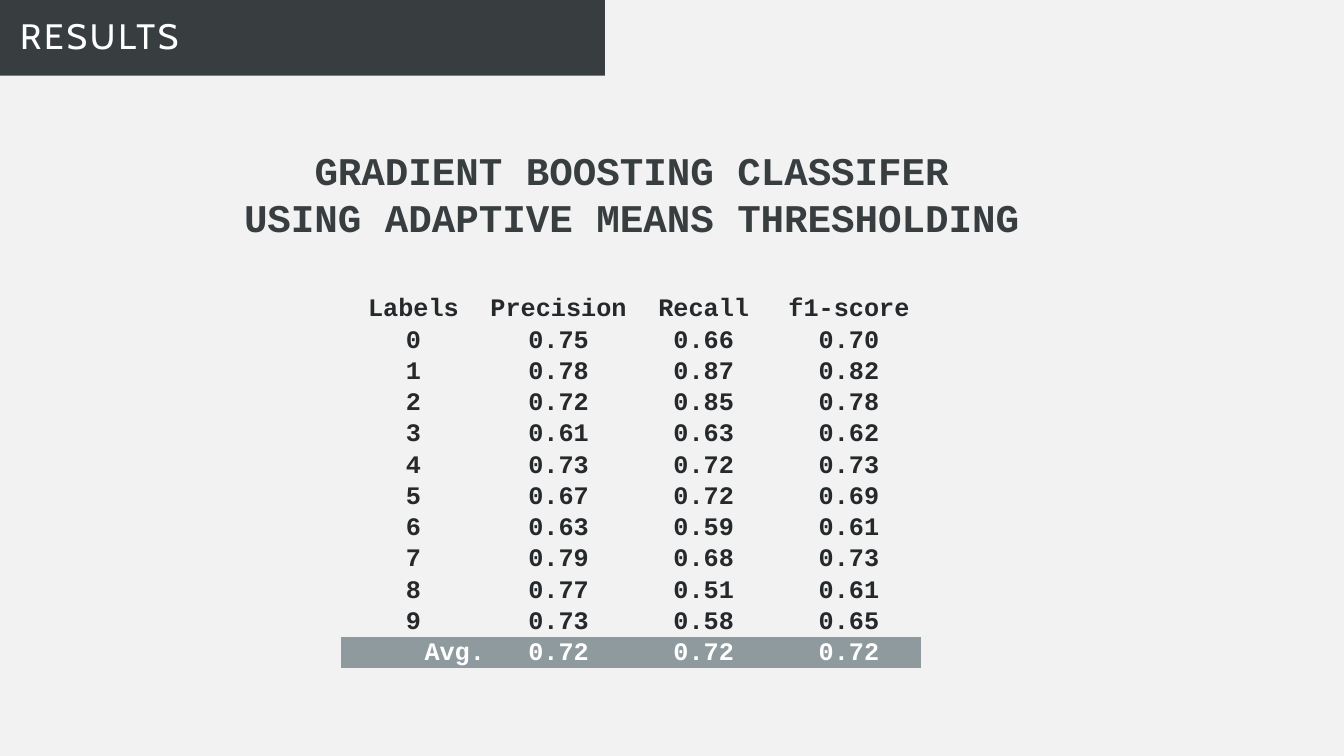
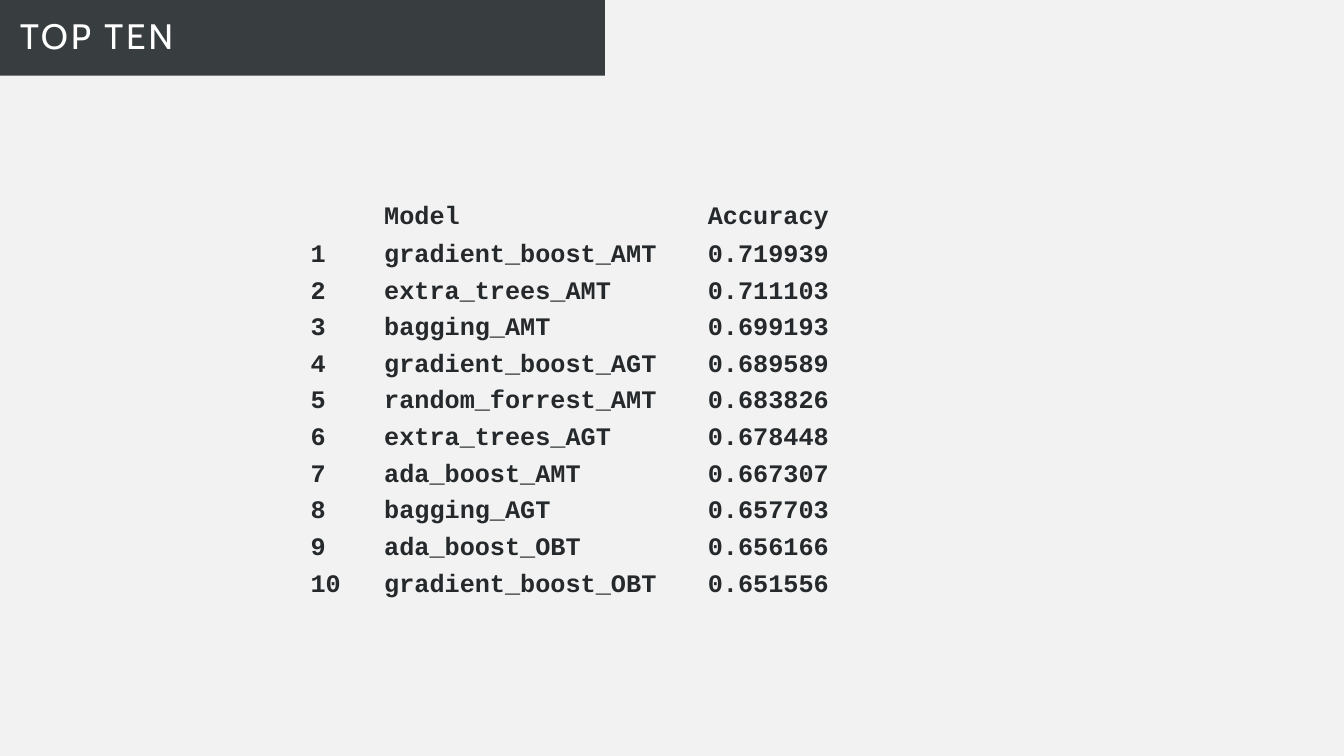
import pptx
import pptx.dml.color
import pptx.enum.text
import pptx.util
from dataclasses import dataclass

Inches = pptx.util.Inches
Pt = pptx.util.Pt
ALIGN = pptx.enum.text.PP_ALIGN
ANCHOR = pptx.enum.text.MSO_ANCHOR
AUTO_SIZE = pptx.enum.text.MSO_AUTO_SIZE

SCORES_TITLE = "RESULTS"
SCORES_HEADING = ["GRADIENT BOOSTING CLASSIFER", "USING ADAPTIVE MEANS THRESHOLDING"]
SCORES = [
    ("Labels", "Precision", "Recall", "f1-score"),
    ("0", "0.75", "0.66", "0.70"),
    ("1", "0.78", "0.87", "0.82"),
    ("2", "0.72", "0.85", "0.78"),
    ("3", "0.61", "0.63", "0.62"),
    ("4", "0.73", "0.72", "0.73"),
    ("5", "0.67", "0.72", "0.69"),
    ("6", "0.63", "0.59", "0.61"),
    ("7", "0.79", "0.68", "0.73"),
    ("8", "0.77", "0.51", "0.61"),
    ("9", "0.73", "0.58", "0.65"),
    ("Avg.", "0.72", "0.72", "0.72"),
]

RANKING_TITLE = "TOP TEN"
RANKING_HEADER = ("", "Model", "Accuracy")
RANKING = [
    ("gradient_boost_AMT", "0.719939"),
    ("extra_trees_AMT", "0.711103"),
    ("bagging_AMT", "0.699193"),
    ("gradient_boost_AGT", "0.689589"),
    ("random_forrest_AMT", "0.683826"),
    ("extra_trees_AGT", "0.678448"),
    ("ada_boost_AMT", "0.667307"),
    ("bagging_AGT", "0.657703"),
    ("ada_boost_OBT", "0.656166"),
    ("gradient_boost_OBT", "0.651556"),
]


def rgb(value):
    return pptx.dml.color.RGBColor.from_string(value)


@dataclass(frozen=True)
class Theme:
    paper = rgb("F2F2F2")
    band = rgb("383E40")
    ink = rgb("25292B")
    highlight = rgb("8E9A9E")
    white = rgb("FFFFFF")
    title_font = "Cabin"
    body_font = "Courier New"
    title_size = Pt(25.2)
    heading_size = Pt(28)
    table_size = Pt(18)
    title_spacing = 200  # hundredths of a point
    plain_table_style = "{2D5ABB26-0587-4C30-8999-92F81FD0307C}"


THEME = Theme()
ROW_HEIGHT = 0.31
SCORES_CELL = {
    "vertical_anchor": ANCHOR.BOTTOM,
    "margin_left": Inches(0.01), "margin_right": Inches(0.01),
    "margin_top": Inches(0.01), "margin_bottom": 0,
}
RANKING_CELL = {
    "vertical_anchor": ANCHOR.MIDDLE,
    "margin_left": Inches(0.08), "margin_right": Inches(0.08),
    "margin_top": Inches(0.04), "margin_bottom": Inches(0.04),
}


def apply(target, formats):
    for name, value in formats.items():
        setattr(target, name, value)


def write(para, text, size, color, font=THEME.body_font, bold=True, align=ALIGN.LEFT):
    para.alignment = align
    span = para.add_run()
    span.text = text
    apply(span.font, {"name": font, "size": size, "bold": bold})
    span.font.color.rgb = color
    return span


def add_page(deck, title):
    """Add a slide whose title fills the dark band at the top left."""
    page = deck.slides.add_slide(deck.slide_layouts.get_by_name("Title Only"))
    band = page.shapes.title
    apply(band, {"left": 0, "top": 0, "width": Inches(6), "height": Inches(0.75)})
    band.fill.solid()
    band.fill.fore_color.rgb = THEME.band
    band.line.fill.background()
    frame = band.text_frame
    apply(frame, {"vertical_anchor": ANCHOR.MIDDLE, "auto_size": AUTO_SIZE.NONE})
    apply(frame, {f"margin_{side}": Inches(0.2) for side in ("left", "top", "right", "bottom")})
    para = frame.paragraphs[0]
    para.line_spacing = 0.9
    span = write(para, title, THEME.title_size, THEME.white, THEME.title_font, bold=False)
    span.font._element.set("spc", str(THEME.title_spacing))
    return page


def add_plain_table(page, rows, left, top, widths, cell_format, align):
    """Add a table without grid or banding, in the body font."""
    frame = page.shapes.add_table(
        len(rows), len(widths), Inches(left), Inches(top),
        Inches(sum(widths)), Inches(ROW_HEIGHT * len(rows)))
    table = frame.table
    apply(table, {"first_row": False, "horz_banding": False})
    table._tbl.tblPr[0].text = THEME.plain_table_style
    for column, width in zip(table.columns, widths):
        column.width = Inches(width)
    for row, texts in zip(table.rows, rows):
        row.height = Inches(ROW_HEIGHT)
        for cell, text in zip(row.cells, texts):
            apply(cell, cell_format)
            cell.fill.background()
            if text:
                write(cell.text_frame.paragraphs[0], text, THEME.table_size, THEME.ink, align=align)
    return table


def highlight_average(row):
    for cell in row.cells:
        cell.fill.solid()
        cell.fill.fore_color.rgb = THEME.highlight
        cell.text_frame.paragraphs[0].runs[0].font.color.rgb = THEME.white
    row.cells[0].text_frame.paragraphs[0].alignment = ALIGN.RIGHT


def add_heading(page, lines):
    box = page.shapes.add_textbox(Inches(2.29), Inches(1.4), Inches(7.95), Inches(1.04))
    frame = box.text_frame
    apply(frame, {"word_wrap": False, "auto_size": AUTO_SIZE.SHAPE_TO_FIT_TEXT})
    for index, line in enumerate(lines):
        para = frame.add_paragraph() if index else frame.paragraphs[0]
        write(para, line, THEME.heading_size, THEME.band, align=ALIGN.CENTER)


def add_scores_page(deck):
    page = add_page(deck, SCORES_TITLE)
    table = add_plain_table(page, SCORES, 3.38, 2.65, [1.44] * 4, SCORES_CELL, ALIGN.CENTER)
    table.rows[0].height = Inches(0.57)
    highlight_average(table.rows[len(SCORES) - 1])
    add_heading(page, SCORES_HEADING)


def add_ranking_page(deck):
    page = add_page(deck, RANKING_TITLE)
    ranked = [(str(rank), *entry) for rank, entry in enumerate(RANKING, start=1)]
    add_plain_table(page, [RANKING_HEADER, *ranked], 3, 1.97, [0.73, 3.21, 2.34],
                    RANKING_CELL, ALIGN.LEFT)


def main():
    deck = pptx.Presentation()
    apply(deck, {"slide_width": Inches(13.33), "slide_height": Inches(7.5)})
    paper = deck.slide_master.background.fill
    paper.solid()
    paper.fore_color.rgb = THEME.paper
    add_scores_page(deck)
    add_ranking_page(deck)
    deck.save("out.pptx")


if __name__ == "__main__":
    main()
